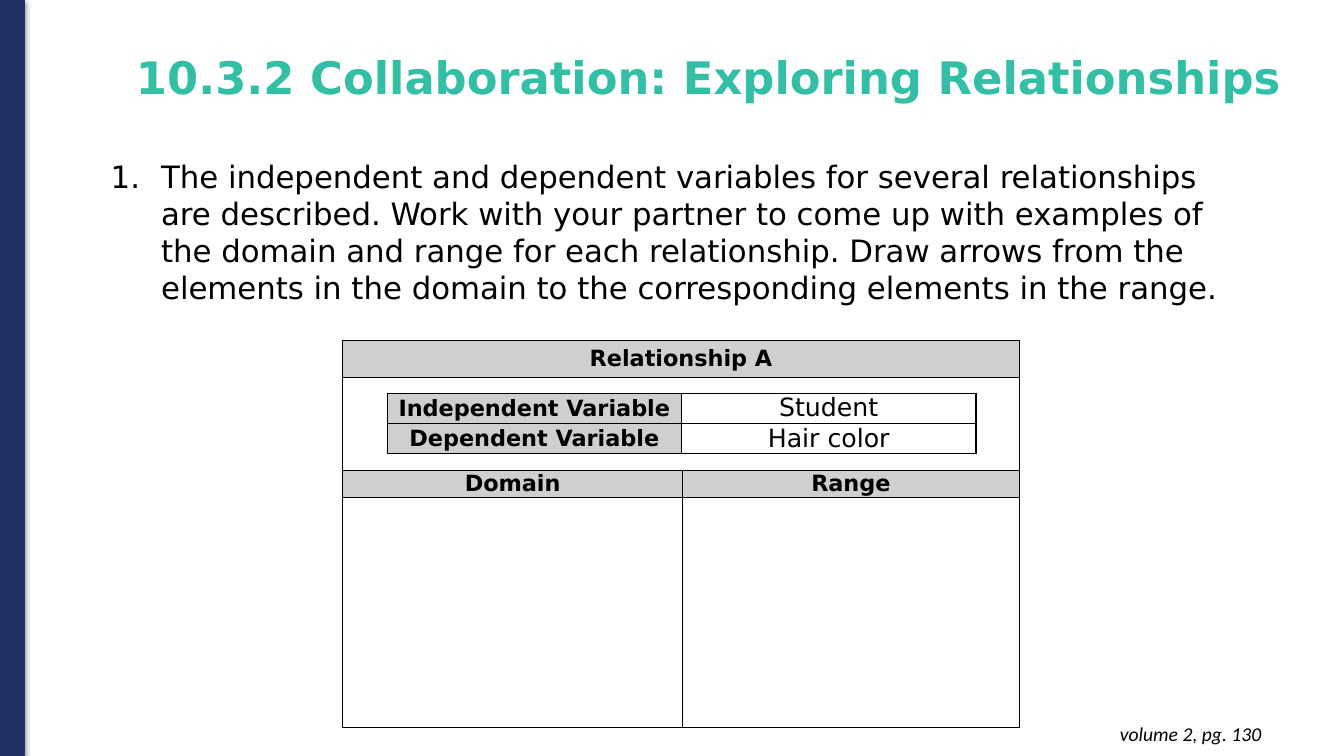
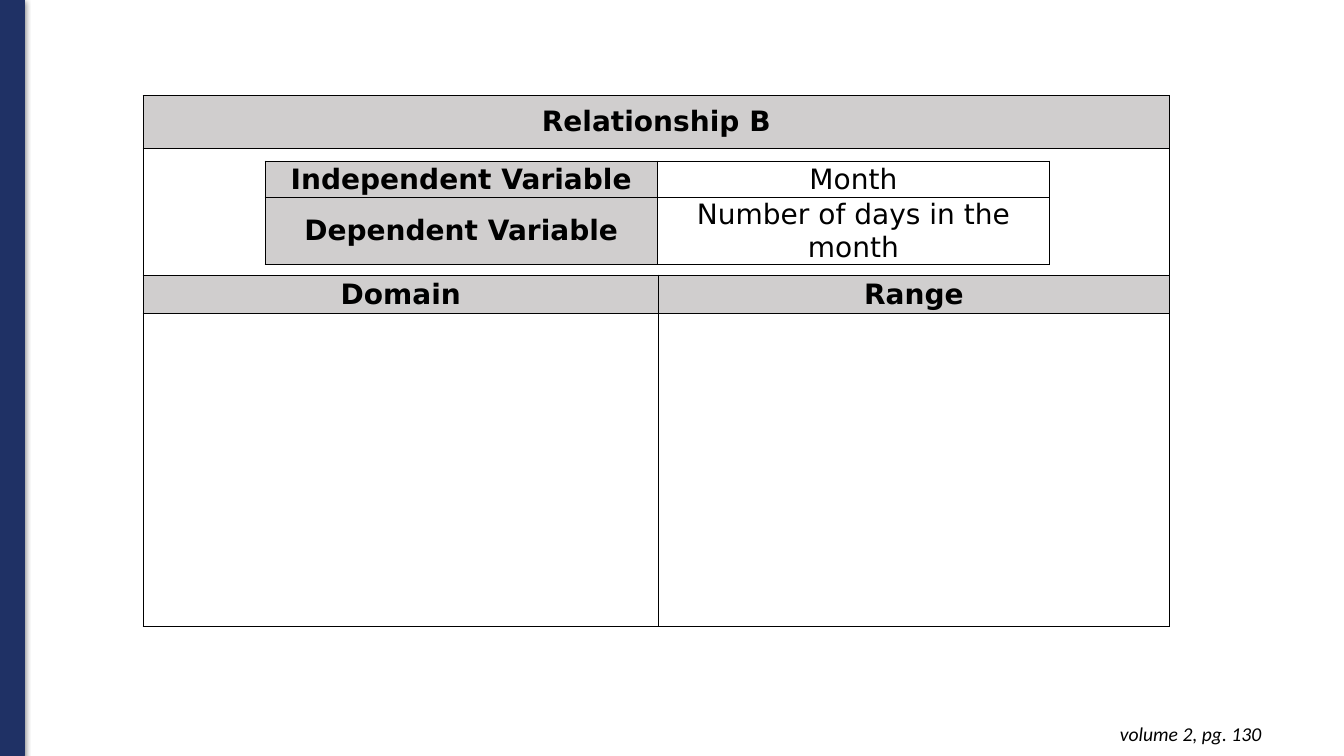
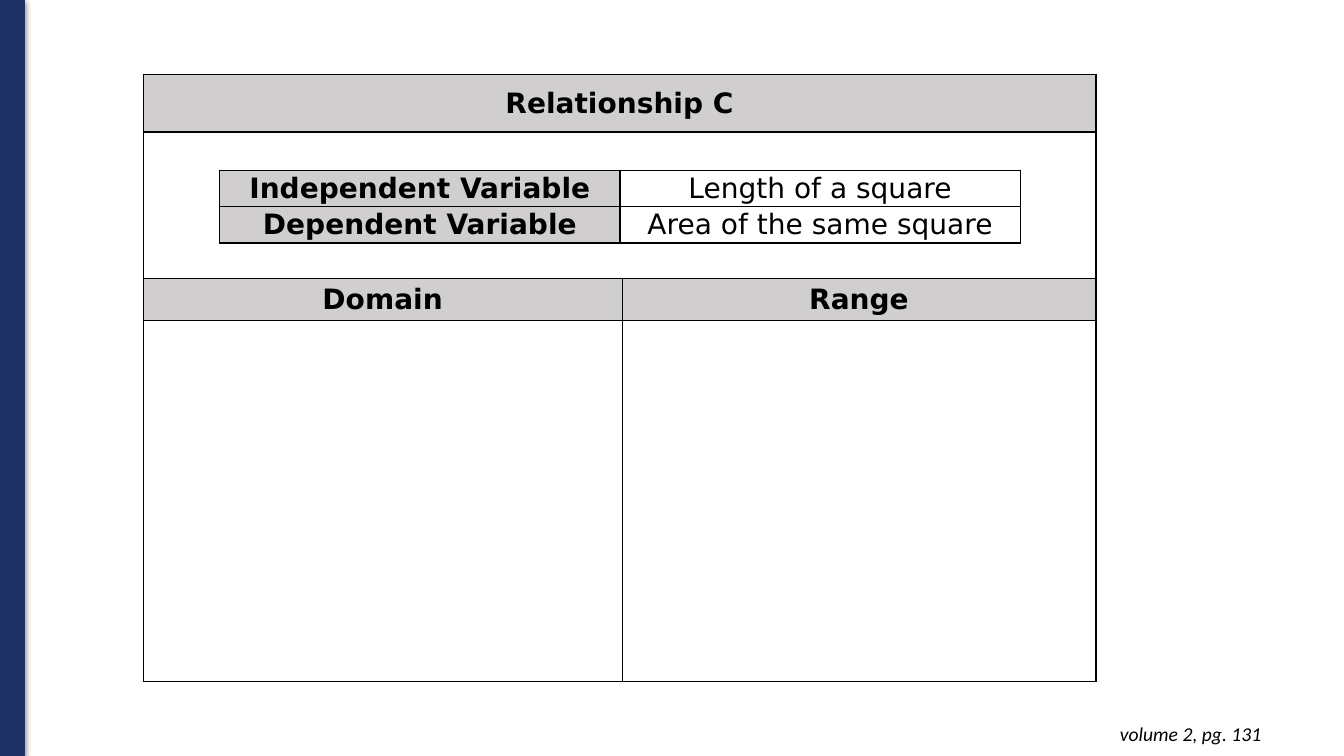
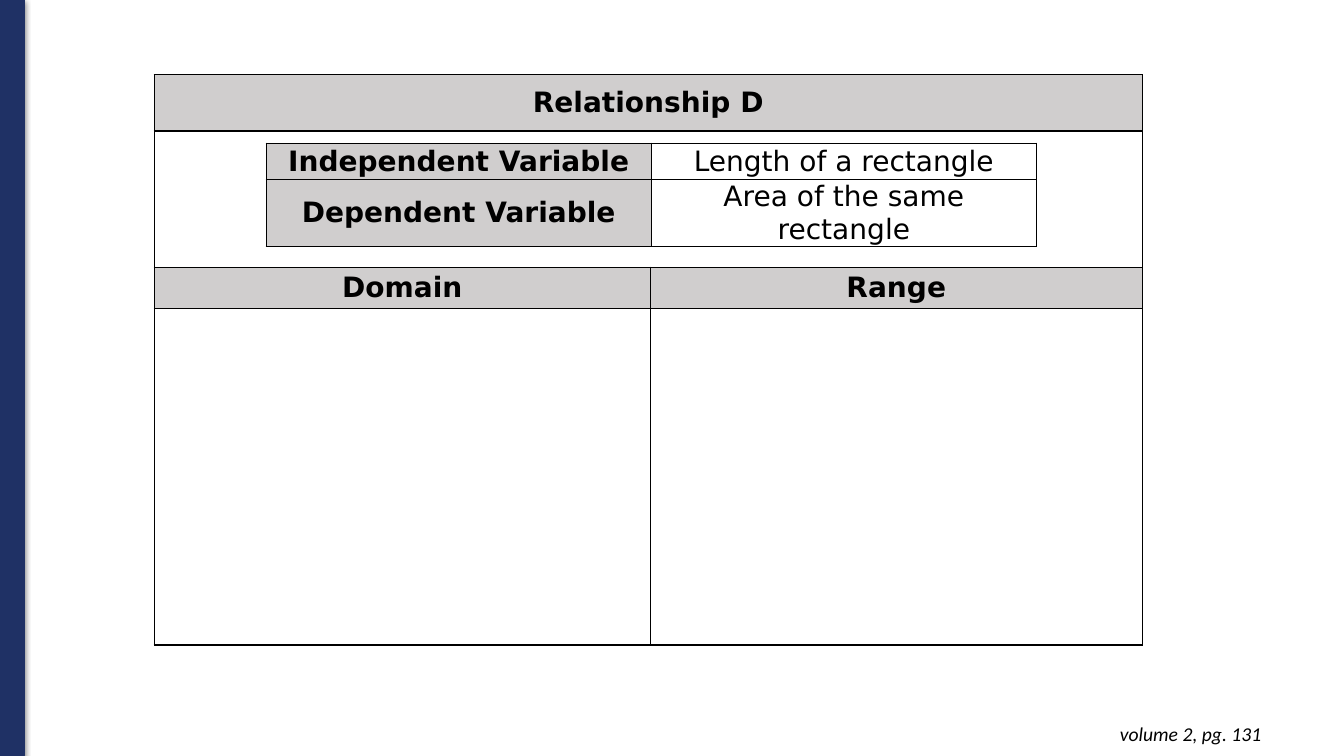
from lxml import etree
from pptx import Presentation
from pptx.dml.color import RGBColor
from pptx.enum.shapes import MSO_SHAPE
from pptx.enum.text import MSO_ANCHOR, PP_ALIGN
from pptx.oxml import parse_xml
from pptx.util import Inches, Pt

RECT = MSO_SHAPE.RECTANGLE
MIDDLE = MSO_ANCHOR.MIDDLE
LEFT, CENTER, RIGHT = PP_ALIGN.LEFT, PP_ALIGN.CENTER, PP_ALIGN.RIGHT
COLORS = {"navy": "1F3165", "teal": "33BEA6", "gray": "D0CECE", "black": "000000"}
RGB = {name: RGBColor.from_string(value) for name, value in COLORS.items()}
SANS = "DejaVu Sans"
NS = "http://schemas.openxmlformats.org/drawingml/2006/main"
INK = f'<a:solidFill><a:srgbClr val="{COLORS["black"]}"/></a:solidFill>'
SHADOW = (
    f'<a:effectLst xmlns:a="{NS}"><a:outerShdw blurRad="{Pt(4.5)}" dist="{Pt(1.5)}" '
    f'dir="5400000" rotWithShape="0"><a:srgbClr val="{COLORS["black"]}">'
    '<a:alpha val="50000"/></a:srgbClr></a:outerShdw></a:effectLst>'
)


def write(frame, text, size=20, font=SANS, color="black", bold=False, italic=False, align=LEFT):
    frame.word_wrap = True
    para = frame.paragraphs[0]
    para.alignment = align
    run = para.add_run()
    run.text = text
    run.font.size = Pt(size)
    run.font.name = font
    run.font.bold = bold
    run.font.italic = italic
    run.font.color.rgb = RGB[color]
    return para


def grid(slide, left, top, cols, rows, texts, size, pads):
    box = [Inches(n) for n in (left, top, sum(cols), sum(rows))]
    table = slide.shapes.add_table(len(rows), len(cols), *box).table
    table.first_row = table.horz_banding = False
    for col, width in zip(table.columns, cols):
        col.width = Inches(width)
    for row, height, line, pad in zip(table.rows, rows, texts, pads):
        row.height = Inches(height)
        for cell, (text, head) in zip(row.cells, line):
            props = cell._tc.get_or_add_tcPr()
            for side in "LRTB":
                props.append(parse_xml(f'<a:ln{side} xmlns:a="{NS}" w="{Pt(1)}">{INK}</a:ln{side}>'))
            if head:
                cell.fill.solid()
                cell.fill.fore_color.rgb = RGB["gray"]
            else:
                cell.fill.background()
            cell.vertical_anchor = MIDDLE
            cell.margin_left = cell.margin_right = Inches(pad[0])
            cell.margin_top = cell.margin_bottom = Inches(pad[1])
            if text:
                points = size if head else max(size, 18)
                write(cell.text_frame, text, size=points, bold=head, align=CENTER)
    return table


PAGES = [
    dict(name="A", page=130, size=16, pads=[(0.09, 0.05), (0.07, 0), (0.07, 0)],
         outer=(3.4, 3.38, [3.37, 3.34], [0.36, 0.92, 0.27, 2.28]),
         inner=(3.84, 3.9, [2.92] * 2, [0.3, 0.3]), pair=("Student", "Hair color")),
    dict(name="B", page=130, outer=(1.42, 0.95, [5.11, 5.07], [0.52, 1.26, 0.38, 3.11]),
         inner=(2.63, 1.6, [3.89] * 2, [0.36, 0.66]),
         pair=("Month", "Number of days in the month")),
    dict(name="C", page=131, outer=(1.42, 0.74, [4.75, 4.7], [0.57, 1.45, 0.42, 3.58]),
         inner=(2.18, 1.69, [3.97] * 2, [0.36, 0.36]),
         pair=("Length of a square", "Area of the same square")),
    dict(name="D", page=131, outer=(1.53, 0.74, [4.92, 4.88], [0.56, 1.35, 0.41, 3.34]),
         inner=(2.64, 1.42, [3.82] * 2, [0.36, 0.66]),
         pair=("Length of a rectangle", "Area of the same rectangle")),
]

deck = Presentation()
deck.slide_width, deck.slide_height = Inches(13.33), Inches(7.5)

for page in PAGES:
    slide = deck.slides.add_slide(deck.slide_layouts[6])
    band = slide.shapes.add_shape(RECT, 0, 0, Inches(0.24), Inches(7.5))
    band.fill.solid()
    band.fill.fore_color.rgb = band.line.color.rgb = RGB["navy"]
    band.line.width = Pt(0.75)
    band._element.spPr.append(parse_xml(SHADOW))

    if page["name"] == "A":
        title = slide.shapes.add_textbox(Inches(1.25), Inches(0.07), Inches(11.69), Inches(1.45))
        title.text_frame.vertical_anchor = MIDDLE
        para = write(title.text_frame, "10.3.2 Collaboration: Exploring Relationships",
                     size=32, color="teal", bold=True)
        para.line_spacing = 0.9

        task = slide.shapes.add_textbox(Inches(1), Inches(1.52), Inches(11.5), Inches(1.58))
        para = write(
            task.text_frame,
            "The independent and dependent variables for several relationships are described. "
            "Work with your partner to come up with examples of the domain and range for each "
            "relationship. Draw arrows from the elements in the domain to the corresponding "
            "elements in the range.", size=22)
        props = para._p.get_or_add_pPr()
        props.set("marL", str(Inches(0.5)))
        props.set("indent", str(-Inches(0.5)))
        etree.SubElement(props, f"{{{NS}}}buFont", typeface="+mj-lt")
        etree.SubElement(props, f"{{{NS}}}buAutoNum", type="arabicPeriod")

    note = slide.shapes.add_textbox(Inches(9.73), Inches(7.06), Inches(2.88), Inches(0.44))
    note.text_frame.margin_top = note.text_frame.margin_bottom = Inches(0.1)
    write(note.text_frame, f"volume 2, pg. {page['page']}", size=14, font="Calibri",
          italic=True, align=RIGHT)

    size = page.get("size", 20)
    top, mid, low = page.get("pads", [(0.12, 0.06), (0.08, 0), (0.09, 0)])
    blank = [("", False)] * 2
    texts = [[(f"Relationship {page['name']}", True), ("", True)], blank,
             [("Domain", True), ("Range", True)], blank]
    table = grid(slide, *page["outer"], texts, size, [top, mid, mid, mid])
    for row in (0, 1):
        table.cell(row, 0).merge(table.cell(row, 1))

    heads = ("Independent Variable", "Dependent Variable")
    texts = [[(head, True), (text, False)] for head, text in zip(heads, page["pair"])]
    grid(slide, *page["inner"], texts, size, [low, low])

deck.save("out.pptx")
